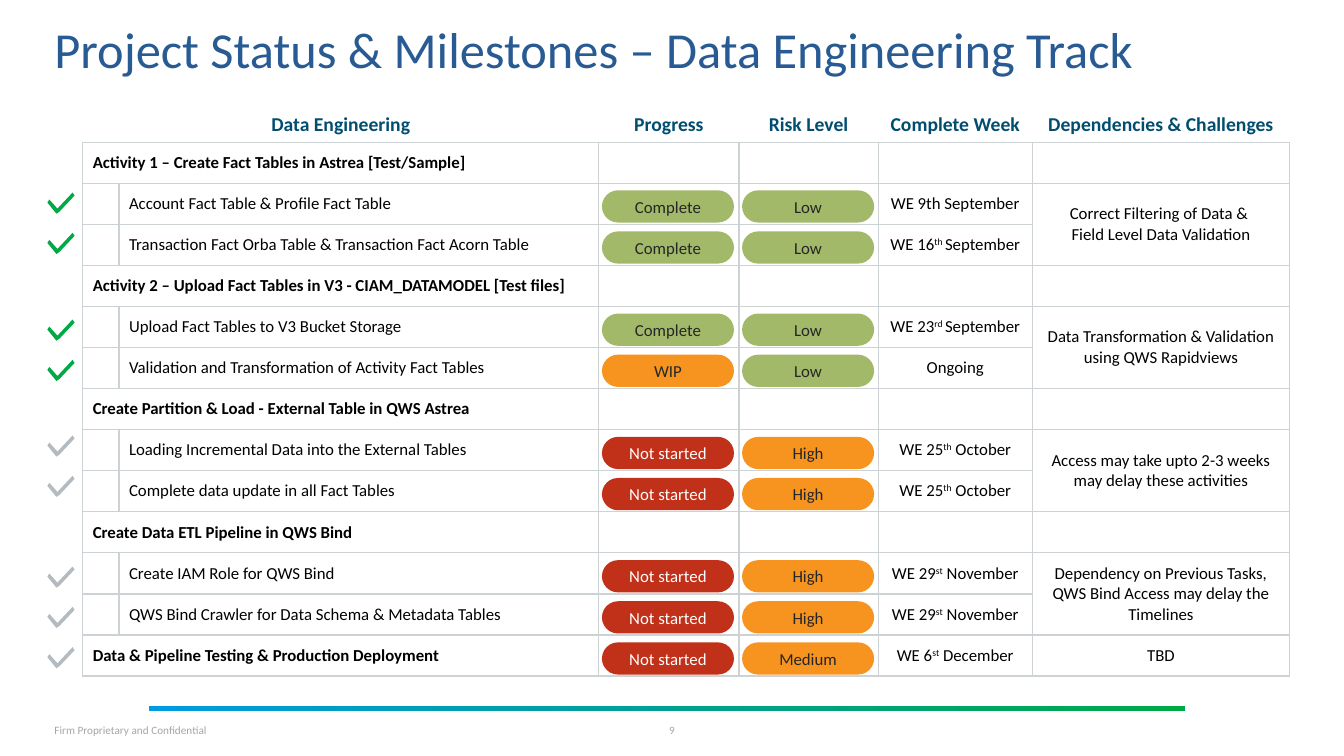
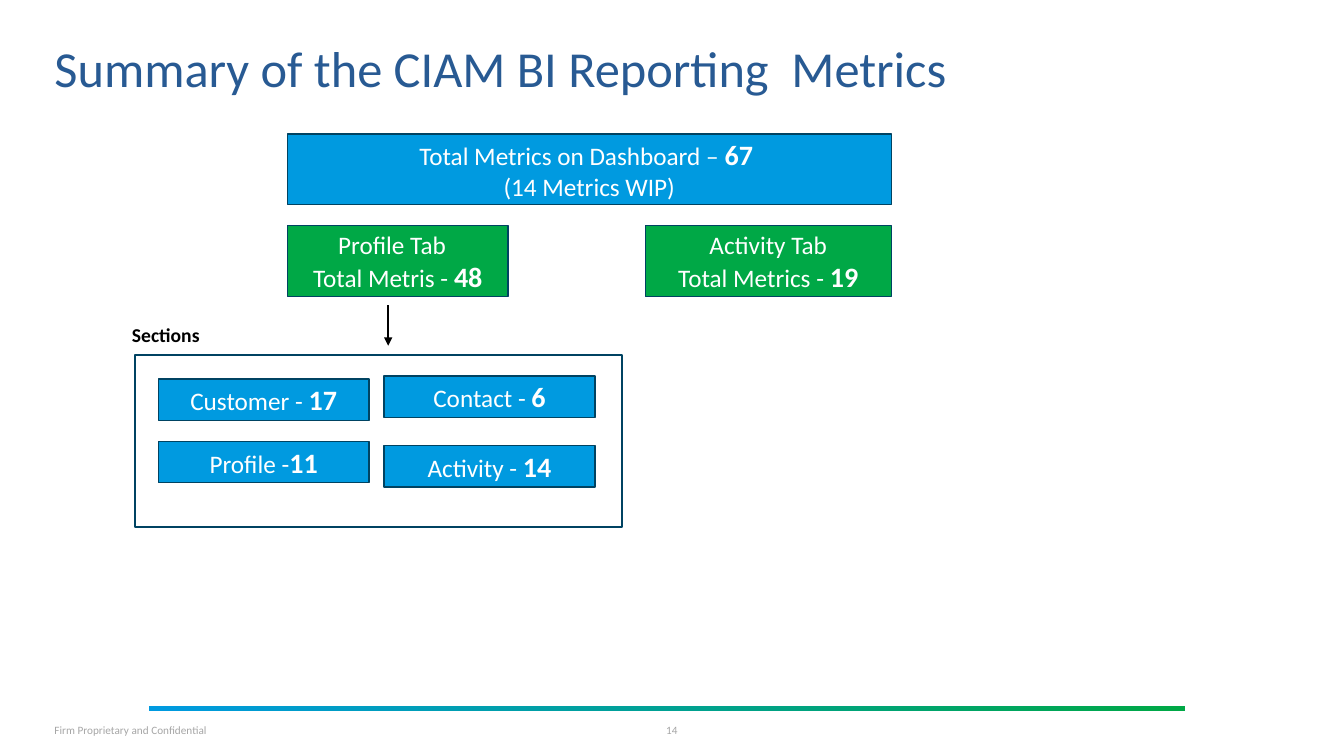
from lxml.etree import SubElement
from pptx import Presentation
from pptx.dml.color import RGBColor
from pptx.enum.shapes import MSO_CONNECTOR, MSO_SHAPE
from pptx.enum.text import MSO_ANCHOR, MSO_AUTO_SIZE, PP_ALIGN
from pptx.oxml import parse_xml
from pptx.oxml.ns import nsdecls, qn
from pptx.util import Inches, Pt

FONT = "Calibri"
WHITE, BLACK, DARK, GREY = "FFFFFF", "000000", "262626", "A6A6A6"
BLUE, GREEN, NAVY, TITLE, HEADER = "009AE0", "00A846", "004362", "285A93", "004D70"
GRID, TICK_GREY = "CDD2D5", "B4BBC0"
OLIVE, ORANGE, RED = "A2B969", "F7931F", "C13018"
LEFT, CENTER = PP_ALIGN.LEFT, PP_ALIGN.CENTER
MARGIN = 0.54

# Table grid
TABLE_X, TABLE_Y, TABLE_H, HEAD_H = 0.82, 0.97, 5.74, 0.44
COLS = [0.36, 4.76, 1.39, 1.38, 1.53, 2.55]
HEADERS = ["Data Engineering", "", "Progress", "Risk Level", "Complete Week",
           "Dependencies & Challenges"]
# Heading row?, task, progress, risk, week, note (None continues the note above)
ROWS = [
    (True, "Activity 1 – Create Fact Tables in Astrea [Test/Sample]", "", "", "", ""),
    (False, "Account Fact Table & Profile Fact Table", "Complete", "Low",
     "WE 9th September", "Correct Filtering of Data & \nField Level Data Validation"),
    (False, "Transaction Fact Orba Table & Transaction Fact Acorn Table", "Complete",
     "Low", "WE 16|th |September", None),
    (True, "Activity 2 – Upload Fact Tables in V3 - CIAM_DATAMODEL [Test files]",
     "", "", "", ""),
    (False, "Upload Fact Tables to V3 Bucket Storage", "Complete", "Low",
     "WE 23|rd |September", "Data Transformation & Validation using QWS Rapidviews"),
    (False, "Validation and Transformation of Activity Fact Tables", "WIP", "Low",
     "Ongoing", None),
    (True, "Create Partition & Load - External Table in QWS Astrea", "", "", "", ""),
    (False, "Loading Incremental Data into the External Tables", "Not started", "High",
     "WE 25|th| October", "Access may take upto 2-3 weeks may delay these activities"),
    (False, "Complete data update in all Fact Tables", "Not started", "High",
     "WE 25|th| October", None),
    (True, "Create Data ETL Pipeline in QWS Bind", "", "", "", ""),
    (False, "Create IAM Role for QWS Bind", "Not started", "High", "WE 29|st| November",
     "Dependency on Previous Tasks, QWS Bind Access may delay the Timelines"),
    (False, "QWS Bind Crawler for Data Schema & Metadata Tables", "Not started", "High",
     "WE 29|st| November", None),
    (True, "Data & Pipeline Testing & Production Deployment", "Not started", "Medium",
     "WE 6|st| December", "TBD"),
]
ROW_H = (TABLE_H - HEAD_H) / len(ROWS)
PILL_FILL = {"Complete": OLIVE, "Low": OLIVE, "WIP": ORANGE, "High": ORANGE,
             "Medium": ORANGE, "Not started": RED}
PILL_X, PILL_PITCH, PILL_DROP = 5.97, 1.39, 0.07

# Top of the first tick, number of ticks, colour
TICK_GROUPS = [(1.91, 2, GREEN), (3.17, 2, GREEN), (4.32, 2, TICK_GREY),
               (5.62, 3, TICK_GREY)]
TICK_X, TICK_PITCH = 0.47, 0.4
TICK_POINTS = [(25, 0), (10, 16), (2, 7), (0, 10), (9, 21), (12, 19), (27, 3)]

# Text, fill, left, top, width, height
METRICS = [
    ("Total Metrics on Dashboard – |67 |\n(14 Metrics WIP)", BLUE, 2.85, 1.33, 5.99, 0.7),
    ("Profile Tab  \nTotal Metris - |48", GREEN, 2.85, 2.24, 2.19, 0.7),
    ("Activity Tab\nTotal Metrics - |19", GREEN, 6.4, 2.24, 2.44, 0.7),
    ("", None, 1.34, 3.52, 4.83, 1.71),
    ("Customer - |17", BLUE, 1.57, 3.76, 2.09, 0.41),
    ("Profile -|11", BLUE, 1.57, 4.38, 2.09, 0.41),
    ("Contact - |6", BLUE, 3.81, 3.73, 2.09, 0.41),
    ("Activity - |14", BLUE, 3.81, 4.42, 2.09, 0.41),
]


def rgb(color):
    return RGBColor.from_string(color)


def box(*lengths):
    return [Inches(n) for n in lengths]


def write(tf, text, size=12, color=BLACK, bold=False, align=LEFT, spacing=None,
          big=None):
    """Fill tf; parts between bars are bold at size big, or superscript without it."""
    for i, line in enumerate(text.split("\n")):
        p = tf.paragraphs[0] if i == 0 else tf.add_paragraph()
        p.alignment = align
        if spacing:
            p.line_spacing = spacing
        for j, part in enumerate(line.split("|")):
            if not part:
                continue
            r = p.add_run()
            r.text = part
            marked = j % 2 == 1
            r.font.name = FONT
            r.font.size = Pt(big if marked and big else size)
            r.font.bold = bold or bool(marked and big)
            r.font.color.rgb = rgb(color)
            if marked and not big:
                r._r.get_or_add_rPr().set("baseline", "30000")


def set_frame(tf, anchor=MSO_ANCHOR.MIDDLE, margins=(0, 0, 0, 0)):
    tf.word_wrap = True
    tf.auto_size = MSO_AUTO_SIZE.NONE
    tf.vertical_anchor = anchor
    tf.margin_left, tf.margin_top, tf.margin_right, tf.margin_bottom = box(*margins)


def add_label(slide, text, at, margins=(0, 0, 0, 0), **fmt):
    tf = slide.shapes.add_textbox(*box(*at)).text_frame
    set_frame(tf, margins=margins)
    write(tf, text, **fmt)


def style(sp, fill=None, line=None):
    sp.shadow.inherit = False
    if fill:
        sp.fill.solid()
        sp.fill.fore_color.rgb = rgb(fill)
    else:
        sp.fill.background()
    if line:
        sp.line.color.rgb = rgb(line)
        sp.line.width = Pt(1)
    else:
        sp.line.fill.background()


def add_block(slide, text, at, fill, line=None, shape=MSO_SHAPE.RECTANGLE, **fmt):
    sp = slide.shapes.add_shape(shape, *box(*at))
    style(sp, fill, line)
    set_frame(sp.text_frame, margins=(0.1, 0.05, 0.1, 0.05))
    write(sp.text_frame, text, align=CENTER, **fmt)
    return sp


def add_page(prs, title, number, title_h):
    """Add a slide with its title, gradient band, footer and page number."""
    slide = prs.slides.add_slide(prs.slide_layouts[5])
    sp = slide.shapes.title
    sp.left, sp.top, sp.width, sp.height = box(MARGIN, 0.18, 12.25, title_h)
    set_frame(sp.text_frame, margins=(0, 0.2, 0, 0))
    write(sp.text_frame, title, size=36, color=TITLE, spacing=0.8)
    band = slide.shapes.add_shape(MSO_SHAPE.RECTANGLE, *box(1.48, 7, 10.27, 0.05))
    style(band)
    band.fill.gradient()
    band.fill.gradient_angle = 0
    for stop, color in zip(band.fill.gradient_stops, (BLUE, GREEN)):
        stop.color.rgb = rgb(color)
    add_label(slide, "Firm Proprietary and Confidential", (MARGIN, 7.13, 1.61, 0.23),
              size=8, color=GREY)
    add_label(slide, number, (6.48, 7.13, 0.37, 0.23), size=8, color=GREY, align=CENTER)
    return slide


def set_borders(cell, sides):
    tc_pr = cell._tc.get_or_add_tcPr()
    for i, side in enumerate(sides):
        tc_pr.insert(i, parse_xml(
            f'<a:ln{side} {nsdecls("a")} w="12700"><a:solidFill>'
            f'<a:srgbClr val="{GRID}"/></a:solidFill></a:ln{side}>'))


def fill_cell(cell, text, anchor=MSO_ANCHOR.MIDDLE, inset=0.1, **fmt):
    cell.vertical_anchor = anchor
    cell.margin_left = cell.margin_right = Inches(inset)
    write(cell.text_frame, text, **fmt)


def add_status_table(slide):
    table = slide.shapes.add_table(
        len(ROWS) + 1, len(COLS), *box(TABLE_X, TABLE_Y, sum(COLS), TABLE_H)).table
    table.first_row = table.horz_banding = False
    for col, width in zip(table.columns, COLS):
        col.width = Inches(width)
    for i, row in enumerate(table.rows):
        row.height = Inches(ROW_H if i else HEAD_H)
        for cell in row.cells:
            cell.fill.solid()
            cell.fill.fore_color.rgb = rgb(WHITE)
            set_borders(cell, "LRTB" if i else "B")

    table.cell(0, 0).merge(table.cell(0, 1))
    for c, text in enumerate(HEADERS):
        if text:
            fill_cell(table.cell(0, c), text, MSO_ANCHOR.BOTTOM, size=14, color=HEADER,
                      bold=True, align=CENTER)
    for i, (heading, task, _, _, week, note) in enumerate(ROWS, 1):
        if heading:
            table.cell(i, 0).merge(table.cell(i, 1))
        fill_cell(table.cell(i, 0 if heading else 1), task, bold=heading)
        fill_cell(table.cell(i, 4), week, inset=0, align=CENTER)
        if note is None:
            table.cell(i - 1, 5).merge(table.cell(i, 5))
        else:
            fill_cell(table.cell(i, 5), note, align=CENTER)


def add_pills(slide):
    for i, (_, _, progress, risk, _, _) in enumerate(ROWS):
        top = TABLE_Y + HEAD_H + i * ROW_H + PILL_DROP
        for c, status in enumerate((progress, risk)):
            if status:
                fill = PILL_FILL[status]
                sp = add_block(slide, status, (PILL_X + c * PILL_PITCH, top, 1.31, 0.32),
                               fill, shape=MSO_SHAPE.ROUNDED_RECTANGLE,
                               color=WHITE if fill == RED else DARK)
                sp.adjustments[0] = 0.5


def add_tick(slide, top, color):
    builder = slide.shapes.build_freeform(*TICK_POINTS[0], scale=Inches(0.01))
    builder.add_line_segments(TICK_POINTS[1:], close=True)
    style(builder.convert_to_shape(*box(TICK_X, top)), color)


def add_arrow(slide, x1, y1, x2, y2):
    line = slide.shapes.add_connector(MSO_CONNECTOR.STRAIGHT, *box(x1, y1, x2, y2))
    line.line.color.rgb = rgb(BLACK)
    line.line.width = Pt(1.5)
    sp_pr = line._element.spPr
    SubElement(sp_pr.find(qn("a:ln")), qn("a:tailEnd"), type="triangle")
    SubElement(sp_pr, qn("a:effectLst"))


def build_status(prs):
    slide = add_page(prs, "Project Status & Milestones – Data Engineering Track", "9", 0.51)
    add_status_table(slide)
    add_pills(slide)
    for top, count, color in TICK_GROUPS:
        for i in range(count):
            add_tick(slide, top + i * TICK_PITCH, color)


def build_metrics(prs):
    slide = add_page(prs, "Summary of the CIAM BI Reporting  Metrics", "14", 0.89)
    for text, fill, *at in METRICS:
        add_block(slide, text, at, fill, NAVY, size=18, big=20, color=WHITE)
    add_arrow(slide, 3.85, 3.03, 3.85, 3.43)
    add_label(slide, "Sections", (1.21, 3.15, 1.87, 0.34), (0.1, 0.05, 0.1, 0.05),
              size=14, bold=True)


def main():
    prs = Presentation()
    prs.slide_width, prs.slide_height = box(13.33, 7.5)
    build_status(prs)
    build_metrics(prs)
    prs.save("out.pptx")


if __name__ == "__main__":
    main()
